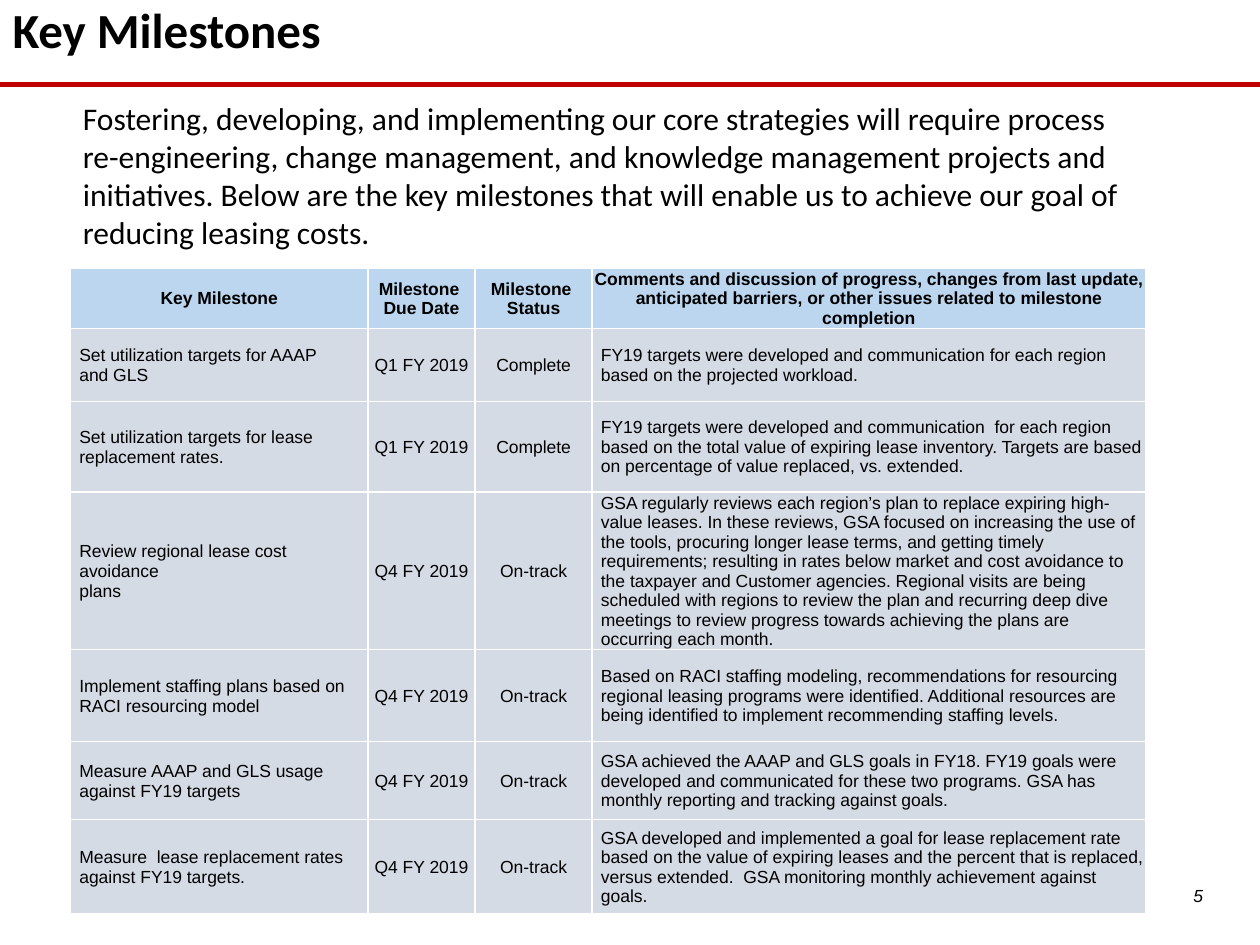
from pptx import Presentation
from pptx.dml.color import RGBColor
from pptx.enum.shapes import MSO_CONNECTOR as Connector
from pptx.enum.text import MSO_ANCHOR as Anchor, MSO_AUTO_SIZE as AutoSize, PP_ALIGN as Align
from pptx.oxml.ns import qn
from pptx.util import Inches, Pt
from lxml.etree import SubElement

BLACK = RGBColor(0x00, 0x00, 0x00)
RED = RGBColor(0xC0, 0x00, 0x00)
HEADER_BLUE = RGBColor(0xBB, 0xD6, 0xEE)
ROW_GREY = RGBColor(0xD5, 0xDB, 0xE5)

TITLE = "Key Milestones"
INTRO = (
    "Fostering, developing, and implementing our core strategies will require process "
    "re-engineering, change management, and knowledge management projects and initiatives. "
    "Below are the key milestones that will enable us to achieve our goal of reducing leasing costs."
)
PAGE_NUMBER = "5"
HEADER = (
    "Key Milestone",
    "Milestone \nDue Date",
    "Milestone \nStatus",
    "Comments and discussion of progress, changes from last update, \n"
    "anticipated barriers, or other issues related to milestone completion",
)
MILESTONES = [
    ("Set utilization targets for AAAP\nand GLS", "Q1 FY 2019", "Complete",
     "FY19 targets were developed and communication for each region based on the "
     "projected workload."),
    ("Set utilization targets for lease replacement rates.", "Q1 FY 2019", "Complete",
     "FY19 targets were developed and communication  for each region based on the total "
     "value of expiring lease inventory. Targets are based on percentage of value replaced, "
     "vs. extended."),
    ("Review regional lease cost avoidance\nplans", "Q4 FY 2019", "On-track",
     "GSA regularly reviews each region’s plan to replace expiring high-value leases. "
     "In these reviews, GSA focused on increasing the use of the tools, procuring longer "
     "lease terms, and getting timely requirements; resulting in rates below market and cost "
     "avoidance to the taxpayer and Customer agencies. Regional visits are being scheduled "
     "with regions to review the plan and recurring deep dive meetings to review progress "
     "towards achieving the plans are occurring each month."),
    ("Implement staffing plans based on RACI resourcing model", "Q4 FY 2019", "On-track",
     "Based on RACI staffing modeling, recommendations for resourcing regional leasing "
     "programs were identified. Additional resources are being identified to implement "
     "recommending staffing levels."),
    ("Measure AAAP and GLS usage against FY19 targets", "Q4 FY 2019", "On-track",
     "GSA achieved the AAAP and GLS goals in FY18. FY19 goals were developed and "
     "communicated for these two programs. GSA has monthly reporting and tracking "
     "against goals."),
    ("Measure  lease replacement rates against FY19 targets.", "Q4 FY 2019", "On-track",
     "GSA developed and implemented a goal for lease replacement rate based on the value of "
     "expiring leases and the percent that is replaced, versus extended.  GSA monitoring "
     "monthly achievement against goals."),
]
COLUMN_WIDTHS = (2.36, 0.85, 0.93, 4.39)
ROW_HEIGHTS = (0.46, 0.58, 0.72, 1.16, 0.73, 0.62, 0.75)
CENTERED_COLUMNS = (1, 2)
CONTENT_LEFT, CONTENT_WIDTH = 0.56, sum(COLUMN_WIDTHS)


def write(frame, text, font, size, align=Align.LEFT, bold=False, italic=False):
    frame.text = text
    for paragraph in frame.paragraphs:
        paragraph.alignment = align
        for run in paragraph.runs:
            run.font.name, run.font.size = font, Pt(size)
            run.font.bold, run.font.italic = bold, italic
            run.font.color.rgb = BLACK


def add_title(slide):
    title = slide.shapes.title
    title.left, title.top = Inches(0), Inches(0)
    title.width, title.height = Inches(10), Inches(0.92)
    frame = title.text_frame
    frame.vertical_anchor = Anchor.TOP
    frame.auto_size = AutoSize.NONE
    write(frame, TITLE, "Calibri", 28, bold=True)
    frame.paragraphs[0].line_spacing = 0.9


def add_rule(slide):
    rule = slide.shapes.add_connector(
        Connector.STRAIGHT, Inches(0), Inches(0.67), Inches(10), Inches(0.67))
    rule.line.color.rgb = RED
    rule.line.width = Pt(3)
    SubElement(rule.element.spPr, qn("a:effectLst"))


def add_milestones(slide):
    rows = [HEADER, *MILESTONES]
    table = slide.shapes.add_table(
        len(rows), len(HEADER), Inches(CONTENT_LEFT), Inches(2.13),
        Inches(CONTENT_WIDTH), Inches(sum(ROW_HEIGHTS))).table
    table.first_row = table.horz_banding = False
    for column, width in zip(table.columns, COLUMN_WIDTHS):
        column.width = Inches(width)
    for row, height in zip(table.rows, ROW_HEIGHTS):
        row.height = Inches(height)
    for r, values in enumerate(rows):
        for c, value in enumerate(values):
            is_header = r == 0
            centered = is_header or c in CENTERED_COLUMNS
            cell = table.cell(r, c)
            cell.fill.solid()
            cell.fill.fore_color.rgb = HEADER_BLUE if is_header else ROW_GREY
            cell.vertical_anchor = Anchor.MIDDLE
            cell.margin_left = Inches(0.01 if centered else 0.07)
            cell.margin_right = cell.margin_top = Inches(0.01)
            cell.margin_bottom = Inches(0)
            write(cell.text_frame, value, "Arial", 10,
                  Align.CENTER if centered else Align.LEFT, bold=is_header)


def add_intro(slide):
    intro = slide.shapes.add_textbox(
        Inches(CONTENT_LEFT), Inches(0.74), Inches(CONTENT_WIDTH), Inches(0.98)).text_frame
    intro.word_wrap = True
    write(intro, INTRO, "Calibri", 18)


def add_page_number(slide):
    number = slide.shapes.add_textbox(
        Inches(9.21), Inches(6.94), Inches(0.6), Inches(0.43)).text_frame
    number.word_wrap = True
    number.margin_top = number.margin_bottom = Inches(0.1)
    write(number, PAGE_NUMBER, "Arial", 10, Align.CENTER, italic=True)


def main():
    deck = Presentation()
    deck.slide_width, deck.slide_height = Inches(10), Inches(7.5)
    slide = deck.slides.add_slide(deck.slide_layouts.get_by_name("Title Only"))
    add_title(slide)
    add_rule(slide)
    add_milestones(slide)
    add_intro(slide)
    add_page_number(slide)
    deck.save("out.pptx")


if __name__ == "__main__":
    main()
